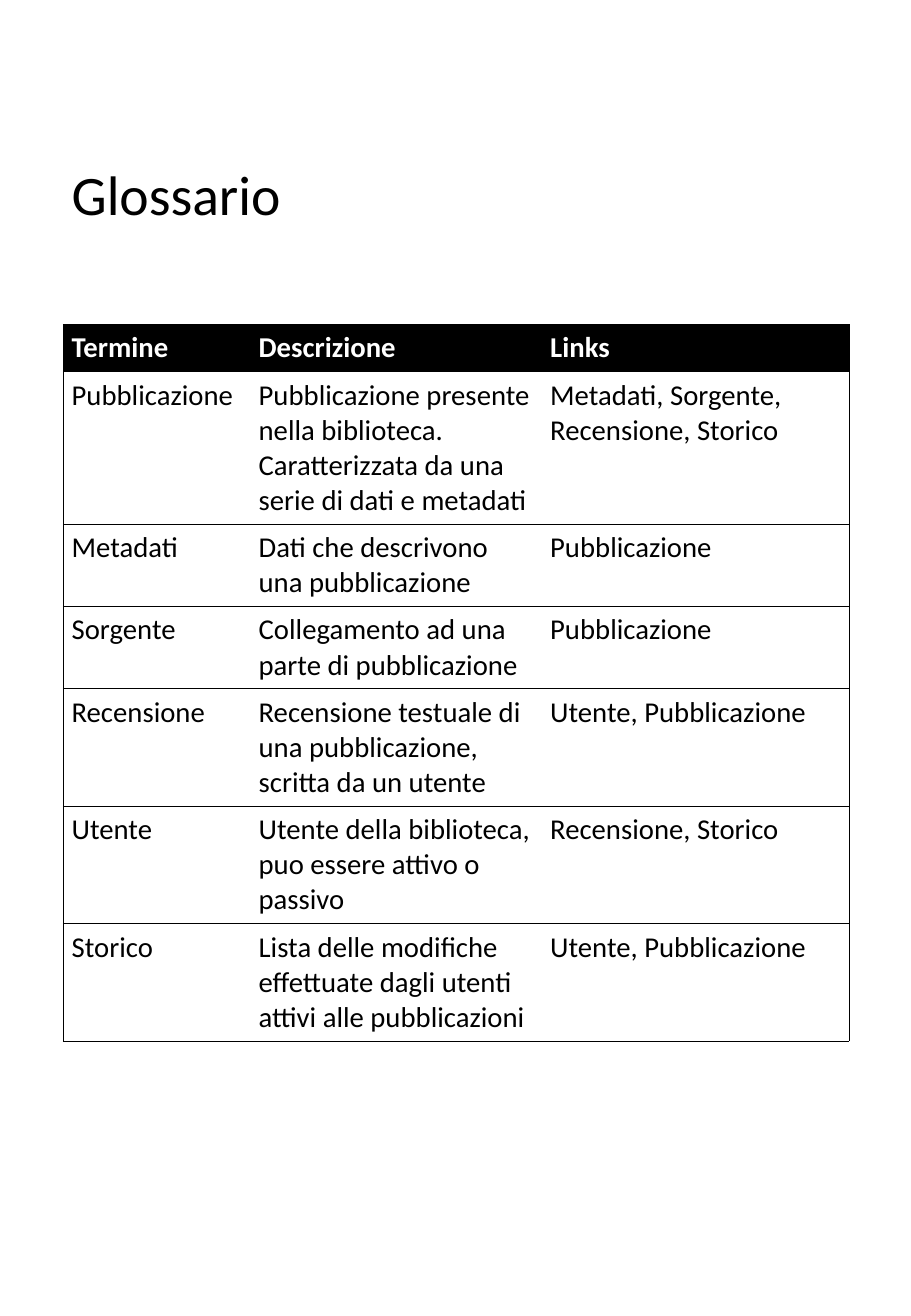
from lxml import etree
from pptx import Presentation
from pptx.dml.color import RGBColor
from pptx.enum.text import MSO_ANCHOR, PP_ALIGN
from pptx.oxml.ns import qn
from pptx.util import Inches, Pt

MIDDLE, TOP = MSO_ANCHOR.MIDDLE, MSO_ANCHOR.TOP
LEFT = PP_ALIGN.LEFT

TITLE = "Glossario"
HEADER = ("Termine", "Descrizione", "Links")
TERMS = [
    ("Pubblicazione", "Pubblicazione presente nella biblioteca. "
     "Caratterizzata da una serie di dati e metadati",
     "Metadati, Sorgente, Recensione, Storico"),
    ("Metadati", "Dati che descrivono una pubblicazione", "Pubblicazione"),
    ("Sorgente", "Collegamento ad una parte di pubblicazione", "Pubblicazione"),
    ("Recensione", "Recensione testuale di una pubblicazione, scritta da un utente",
     "Utente, Pubblicazione"),
    ("Utente", "Utente della biblioteca, puo essere attivo o passivo",
     "Recensione, Storico"),
    ("Storico", "Lista delle modifiche effettuate dagli utenti attivi alle pubblicazioni",
     "Utente, Pubblicazione"),
]
LINES = (1, 4, 2, 2, 3, 3, 3)
COLUMNS = (1.54, 2.4, 2.53)
COLORS = {"ink": "000000", "paper": "FFFFFF"}
FONT = "Calibri"
MARGIN, TITLE_TOP, TABLE_TOP = 0.52, 0.58, 2.67
LINE_HEIGHT, ROW_PADDING = 0.29, 0.09
INSETS = {"margin_left": Inches(0.07), "margin_right": Inches(0.07),
          "margin_top": Inches(0.05), "margin_bottom": Inches(0.05)}


def assign(target, values):
    for name, value in values.items():
        setattr(target, name, value)


def write(frame, text, size, color, bold=False):
    frame.word_wrap = True
    para = frame.paragraphs[0]
    para.alignment = LEFT
    span = para.add_run()
    span.text = text
    assign(span.font, {"name": FONT, "size": Pt(size), "bold": bold})
    span.font.color.rgb = RGBColor.from_string(COLORS[color])
    return para


def set_borders(cell, visible):
    properties = cell._tc.get_or_add_tcPr()
    for index, side in enumerate("LRTB"):
        line = etree.Element(qn(f"a:ln{side}"), w=str(Pt(0.5)))
        if side in visible:
            fill = etree.SubElement(line, qn("a:solidFill"))
            etree.SubElement(fill, qn("a:srgbClr"), val=COLORS["ink"])
        else:
            etree.SubElement(line, qn("a:noFill"))
        properties.insert(index, line)


def add_title(page):
    title = page.shapes.title
    assign(title, {"left": Inches(MARGIN), "top": Inches(TITLE_TOP),
                   "width": Inches(sum(COLUMNS)),
                   "height": Inches(TABLE_TOP - TITLE_TOP)})
    assign(title.text_frame, {**INSETS, "vertical_anchor": MIDDLE})
    write(title.text_frame, TITLE, 33, "ink").line_spacing = 0.9


def add_glossary(page):
    rows = [HEADER] + TERMS
    heights = [ROW_PADDING + LINE_HEIGHT * count for count in LINES]
    table = page.shapes.add_table(
        len(rows), len(COLUMNS), Inches(MARGIN), Inches(TABLE_TOP),
        Inches(sum(COLUMNS)), Inches(sum(heights))).table
    table.horz_banding = False
    for column, width in zip(table.columns, COLUMNS):
        column.width = Inches(width)
    for row_index, (texts, height) in enumerate(zip(rows, heights)):
        table.rows[row_index].height = Inches(height)
        is_header = row_index == 0
        back, ink = ("ink", "paper") if is_header else ("paper", "ink")
        for column_index, text in enumerate(texts):
            cell = table.cell(row_index, column_index)
            assign(cell, {**INSETS, "vertical_anchor": TOP})
            cell.fill.solid()
            cell.fill.fore_color.rgb = RGBColor.from_string(COLORS[back])
            write(cell.text_frame, text, 17, ink, is_header)
            edges = {0: "L", len(COLUMNS) - 1: "R"}
            set_borders(cell, "TB" + edges.get(column_index, ""))


def main():
    deck = Presentation()
    deck.slide_width, deck.slide_height = Inches(7.5), Inches(10.83)
    page = deck.slides.add_slide(deck.slide_layouts[5])
    add_title(page)
    add_glossary(page)
    deck.save("out.pptx")


if __name__ == "__main__":
    main()
